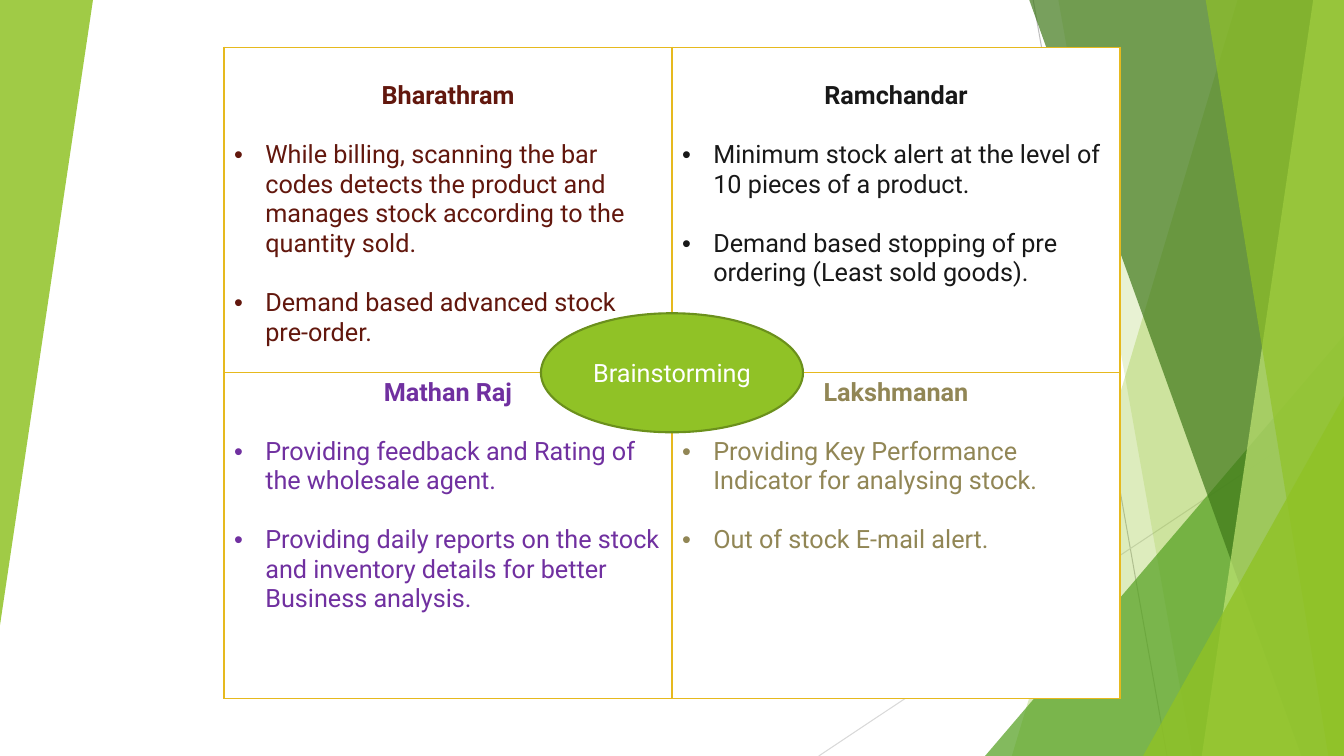
from lxml import etree
from pptx import Presentation
from pptx.dml.color import RGBColor
from pptx.enum.shapes import MSO_CONNECTOR, MSO_SHAPE
from pptx.enum.text import MSO_ANCHOR, PP_ALIGN
from pptx.oxml.ns import qn
from pptx.util import Inches, Pt

LINE = MSO_CONNECTOR.STRAIGHT
WEDGE, OVAL = MSO_SHAPE.ISOSCELES_TRIANGLE, MSO_SHAPE.OVAL
MID, MIDDLE = PP_ALIGN.CENTER, MSO_ANCHOR.MIDDLE

HUE = {
    "green": "90C226", "leaf": "54A021", "dark": "3F7819", "lime": "C0E474",
    "rim": "6B901C", "gold": "E6B91E", "white": "FFFFFF", "grey": "BFBFBF",
    "pale": "D9D9D9", "brown": "62170D", "black": "181818",
    "plum": "7030A0", "olive": "918655",
}
COLS, ROWS = 24, 16

# Each idea cell: name, colour, bullets
IDEAS = [
    [("Bharathram", "brown",
      ["While billing, scanning the bar codes detects the product and "
       "manages stock according to the quantity sold.",
       "Demand based advanced stock pre-order."]),
     ("Ramchandar", "black",
      ["Minimum stock alert at the level of 10 pieces of a product.",
       "Demand based stopping of pre ordering (Least sold goods)."])],
    [("Mathan Raj", "plum",
      ["Providing feedback and Rating of the wholesale agent.",
       "Providing daily reports on the stock and inventory details for "
       "better Business analysis."]),
     ("Lakshmanan", "olive",
      ["Providing Key Performance Indicator for analysing stock.",
       "Out of stock E-mail alert."])],
]


def rgb(hue):
    return RGBColor.from_string(HUE[hue])


class Board:
    """Holds the style and the current slide; lengths are grid columns and rows."""
    font, size, gap = "Roboto", Pt(18), Pt(21)
    indent = Inches(0.31)

    def __init__(self, deck):
        self.slide = deck.slides.add_slide(deck.slide_layouts[6])
        self.shapes = self.slide.shapes
        self.col = deck.slide_width / COLS
        self.row = deck.slide_height / ROWS

    def at(self, *nums):
        steps = (self.col, self.row) * 2
        return [round(n * step) for n, step in zip(nums, steps)]

    def paint(self, shape, hue, alpha=100):
        shape.shadow.inherit = False
        shape.line.fill.background()
        shape.fill.solid()
        shape.fill.fore_color.rgb = rgb(hue)
        if alpha < 100:
            tint = next(shape.element.spPr.iter(qn("a:srgbClr")))
            etree.SubElement(tint, qn("a:alpha"), val=str(alpha * 1000))

    def line(self, ends, hue):
        wire = self.shapes.add_connector(LINE, *self.at(*ends))
        wire.line.color.rgb = rgb(hue)
        wire.line.width = Pt(0.75)
        etree.SubElement(wire.element.spPr, qn("a:effectLst"))

    def facet(self, top, base, hue, alpha):
        """Full-height pane from the slanted edge top-base to the right side."""
        pen = self.shapes.build_freeform(*self.at(top, 0))
        pen.add_line_segments([self.at(COLS, 0), self.at(COLS, ROWS),
                               self.at(base, ROWS)], close=True)
        self.paint(pen.convert_to_shape(), hue, alpha)

    def wedge(self, box, hue, alpha, turn=0):
        shape = self.shapes.add_shape(WEDGE, *self.at(*box))
        shape.adjustments[0] = 1
        shape.rotation = turn
        self.paint(shape, hue, alpha)

    def run(self, para, text, hue, bold=False):
        run = para.add_run()
        run.text = text
        font = run.font
        font.name, font.size, font.bold = self.font, self.size, bold
        font.color.rgb = rgb(hue)

    def bullet(self, para):
        para.space_before = self.gap
        props = para._p.get_or_add_pPr()
        props.set("marL", str(self.indent))
        props.set("indent", str(-self.indent))
        etree.SubElement(props, qn("a:buFont"), typeface="Arial")
        etree.SubElement(props, qn("a:buChar"), char="•")

    def edge(self, cell, hue):
        props = cell._tc.get_or_add_tcPr()
        for i, side in enumerate("LRTB"):
            rule = etree.Element(qn("a:ln" + side), w=str(Pt(1)))
            fill = etree.SubElement(rule, qn("a:solidFill"))
            etree.SubElement(fill, qn("a:srgbClr"), val=HUE[hue])
            props.insert(i, rule)

    def table(self, box, data):
        frame = self.shapes.add_table(len(data), len(data[0]), *self.at(*box))
        table = frame.table
        table.first_row = table.horz_banding = False
        for r, line in enumerate(data):
            for c, (name, hue, notes) in enumerate(line):
                cell = table.cell(r, c)
                cell.fill.solid()
                cell.fill.fore_color.rgb = rgb("white")
                self.edge(cell, "gold")
                # The upper names sit one text line lower
                cell.margin_top = Inches(0.05 if r else 0.34)
                text = cell.text_frame
                head = text.paragraphs[0]
                head.alignment = MID
                self.run(head, name, hue, True)
                for note in notes:
                    para = text.add_paragraph()
                    self.bullet(para)
                    self.run(para, note, hue)

    def oval(self, box, text):
        shape = self.shapes.add_shape(OVAL, *self.at(*box))
        self.paint(shape, "green")
        shape.line.color.rgb = rgb("rim")
        shape.line.width = Pt(1.5)
        frame = shape.text_frame
        frame.word_wrap = True
        frame.vertical_anchor = MIDDLE
        para = frame.paragraphs[0]
        para.alignment = MID
        self.run(para, text, "white")


def main():
    deck = Presentation()
    deck.slide_width, deck.slide_height = Inches(13.33), Inches(7.5)
    board = Board(deck)

    # Faceted backdrop
    board.line((18.45, 0, 20.84, ROWS), "grey")
    board.line((COLS, 8.6, 14.62, ROWS), "pale")
    board.facet(22.1, 18.07, "green", 30)
    board.facet(18.9, 21.29, "green", 20)
    board.wedge((17.59, 7.1, 6.41, 8.9), "leaf", 72)
    board.facet(18.38, 23.24, "dark", 70)
    board.facet(23.45, 21.46, "lime", 70)
    board.facet(21.53, 23.72, "green", 65)
    board.wedge((20.41, 8.38, 3.59, 7.62), "green", 80)
    board.wedge((0, 0, 1.66, 13.23), "green", 85, 180)

    # Ideas by person, with the topic in the centre
    board.table((4, 1, 16, 13.78), IDEAS)
    board.oval((9.66, 6.63, 4.68, 2.52), "Brainstorming")

    deck.save("out.pptx")


if __name__ == "__main__":
    main()
